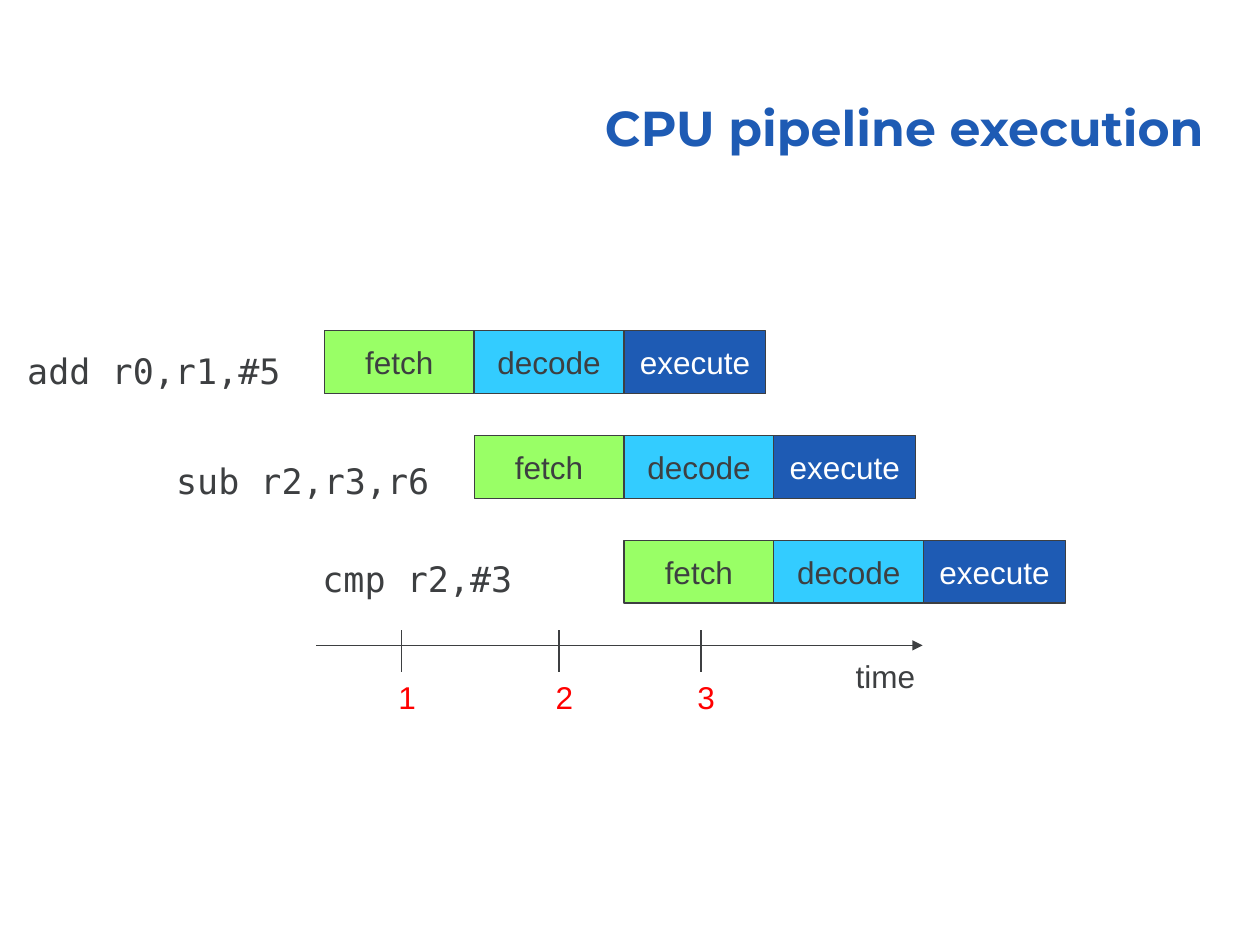
from lxml import etree
from pptx import Presentation
from pptx.dml.color import RGBColor
from pptx.enum.shapes import MSO_CONNECTOR as CONN, MSO_SHAPE as SHAPE
from pptx.enum.text import MSO_ANCHOR as ANCHOR, MSO_AUTO_SIZE as AUTO, PP_ALIGN as ALIGN
from pptx.oxml.ns import qn
from pptx.util import Cm, Pt

INK = RGBColor(0x3D, 0x3F, 0x41)
BLUE = RGBColor(0x1E, 0x5B, 0xB4)
CYAN = RGBColor(0x33, 0xCC, 0xFF)
GREEN = RGBColor(0x99, 0xFF, 0x66)
RED = RGBColor(0xFF, 0x00, 0x00)
WHITE = RGBColor(0xFF, 0xFF, 0xFF)

ROW_X, ROW_Y, STEP_X, STEP_Y = 6.54, 6.67, 3.02, 2.11
STAGES = [("fetch", GREEN, INK, 3.02), ("decode", CYAN, INK, 3.02), ("execute", BLUE, WHITE, 2.86)]
INSTRUCTIONS = [("add r0,r1,#5", 0.3, 6.93, 5.61), ("sub r2,r3,r6", 3.3, 9.13, 5.61), ("cmp r2,#3", 6.25, 11.11, 4.34)]
TICKS = [8.1, 11.27, 14.13]
AXIS_X, AXIS_END, AXIS_Y = 6.38, 18.6, 13.01
TICK_TOP, TICK_BOTTOM = 12.7, 13.55


def write(tf, text, font="Arial", size=18, color=INK, bold=False, align=ALIGN.LEFT, spacing=1.0):
    p = tf.paragraphs[0]
    p.alignment = align
    p.line_spacing = spacing
    r = p.add_run()
    r.text = text
    r.font.name = font
    r.font.size = Pt(size)
    r.font.bold = bold
    r.font.color.rgb = color


class Diagram:
    line_color = INK
    line_width = Pt(0.75)

    def __init__(self, slide):
        self.s = slide

    def title(self, text, x, y, w, h):
        tf = self.s.shapes.add_textbox(Cm(x), Cm(y), Cm(w), Cm(h)).text_frame
        tf.word_wrap = True
        tf.vertical_anchor = ANCHOR.BOTTOM
        write(tf, text, font="Montserrat", size=28, color=BLUE, bold=True, align=ALIGN.RIGHT, spacing=0.9)

    def label(self, text, x, y, w, h=1.02, **fmt):
        tf = self.s.shapes.add_textbox(Cm(x), Cm(y), Cm(w), Cm(h)).text_frame
        tf.word_wrap = False
        tf.auto_size = AUTO.SHAPE_TO_FIT_TEXT
        write(tf, text, **fmt)

    def box(self, text, x, y, w, h, fill, color):
        sp = self.s.shapes.add_shape(SHAPE.RECTANGLE, Cm(x), Cm(y), Cm(w), Cm(h))
        sp.shadow.inherit = False
        sp.fill.solid()
        sp.fill.fore_color.rgb = fill
        sp.line.color.rgb = self.line_color
        sp.line.width = self.line_width
        tf = sp.text_frame
        tf.word_wrap = False
        tf.vertical_anchor = ANCHOR.MIDDLE
        write(tf, text, color=color, align=ALIGN.CENTER)

    def line(self, x1, y1, x2, y2, arrow=False):
        cx = self.s.shapes.add_connector(CONN.STRAIGHT, Cm(x1), Cm(y1), Cm(x2), Cm(y2))
        cx.line.color.rgb = self.line_color
        cx.line.width = self.line_width
        if arrow:
            etree.SubElement(cx.line._get_or_add_ln(), qn("a:tailEnd"), type="triangle")
        etree.SubElement(cx._element.spPr, qn("a:effectLst"))


def main():
    prs = Presentation()
    prs.slide_width, prs.slide_height = Cm(25.4), Cm(19.05)
    d = Diagram(prs.slides.add_slide(prs.slide_layouts[6]))

    d.title("CPU pipeline execution", 7.47, 1.34, 17.04, 1.96)
    for text, x, y, w in INSTRUCTIONS:
        d.label(text, x, y, w, 1.12, font="DejaVu Sans Mono", size=20)

    for row in range(len(INSTRUCTIONS)):
        for col, (stage, fill, color, w) in enumerate(STAGES):
            d.box(stage, ROW_X + (row + col) * STEP_X, ROW_Y + row * STEP_Y, w, 1.27, fill, color)

    d.line(AXIS_X, AXIS_Y, AXIS_END, AXIS_Y, arrow=True)
    d.label("time", 17, 13.13, 1.7)
    for number, x in enumerate(TICKS, 1):
        d.line(x, TICK_TOP, x, TICK_BOTTOM)
        d.label(str(number), x - 0.32, TICK_BOTTOM, 0.86, color=RED)

    prs.save("out.pptx")


if __name__ == "__main__":
    main()
